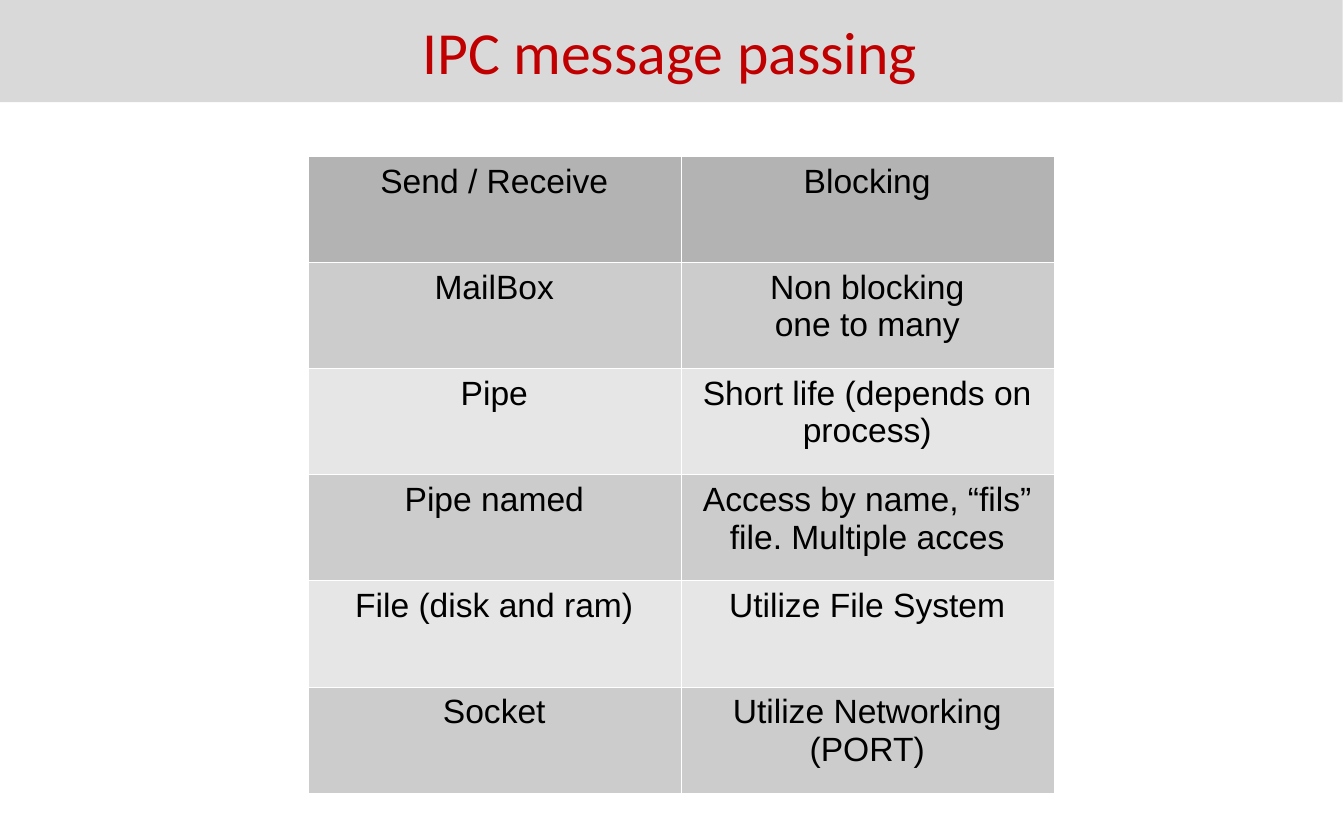
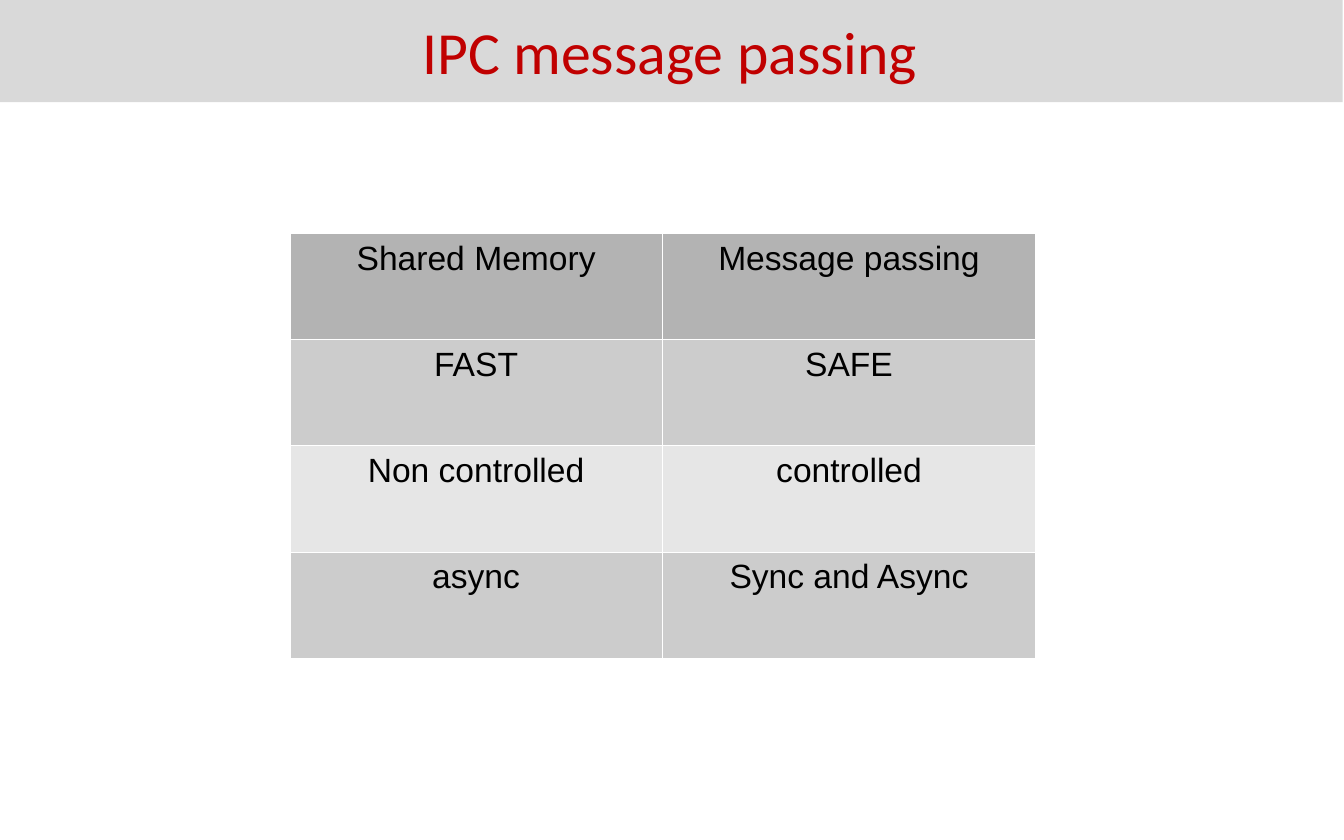
import lxml.etree
import pptx
import pptx.dml.color
import pptx.enum.text
import pptx.oxml.ns
import pptx.util

Inches = pptx.util.Inches
RGBColor = pptx.dml.color.RGBColor
ANCHOR = pptx.enum.text.MSO_ANCHOR

# Shared look
BAND = RGBColor(0xD9, 0xD9, 0xD9)
RED = RGBColor(0xC0, 0x00, 0x00)
BLACK = RGBColor(0x00, 0x00, 0x00)
HEAD = RGBColor(0xB3, 0xB3, 0xB3)
DARK = RGBColor(0xCC, 0xCC, 0xCC)
LIGHT = RGBColor(0xE6, 0xE6, 0xE6)
WHITE = RGBColor(0xFF, 0xFF, 0xFF)
TITLE = "IPC message passing"
COL_W = Inches(2.775)
ROW_H = Inches(0.79)
RULE_W = pptx.util.Pt(0.06)

# Left, top and rows of the table on each slide
TABLES = [
    (2.29, 1.16, [
        ("Send / Receive", "Blocking"),
        ("MailBox", "Non blocking\none to many"),
        ("Pipe", "Short life (depends on process)"),
        ("Pipe named", "Access by name, “fils” file. Multiple acces"),
        ("File (disk and ram)", "Utilize File System"),
        ("Socket", "Utilize Networking (PORT)"),
    ]),
    (2.155, 1.735, [
        ("Shared Memory", "Message passing"),
        ("FAST", "SAFE"),
        ("Non controlled", "controlled"),
        ("async", "Sync and Async"),
    ]),
]


def write(frame, text, font="Arial", size=18, color=BLACK):
    """Put one centred paragraph in a text frame."""
    frame.word_wrap = True
    para = frame.paragraphs[0]
    para.text = text
    para.alignment = pptx.enum.text.PP_ALIGN.CENTER
    for run in para.runs:
        run.font.name = font
        run.font.size = pptx.util.Pt(size)
        run.font.bold = False
        run.font.color.rgb = color


def rule(cell):
    """Draw a hairline on all four sides of a cell."""
    props = cell._tc.get_or_add_tcPr()
    for side in ("a:lnL", "a:lnR", "a:lnT", "a:lnB"):
        line = lxml.etree.SubElement(props, pptx.oxml.ns.qn(side), w=str(RULE_W))
        fill = lxml.etree.SubElement(line, pptx.oxml.ns.qn("a:solidFill"))
        lxml.etree.SubElement(fill, pptx.oxml.ns.qn("a:srgbClr"), val=str(WHITE))


deck = pptx.Presentation()
deck.slide_width = Inches(10)
deck.slide_height = Inches(6.25)

for left, top, rows in TABLES:
    slide = deck.slides.add_slide(deck.slide_layouts[5])

    # Title band
    title = slide.shapes.title
    title.left, title.top = Inches(-0.02), Inches(0)
    title.width, title.height = Inches(10.01), Inches(0.76)
    title.fill.solid()
    title.fill.fore_color.rgb = BAND
    title.text_frame.auto_size = pptx.enum.text.MSO_AUTO_SIZE.NONE
    title.text_frame.vertical_anchor = ANCHOR.MIDDLE
    write(title.text_frame, TITLE, font="Calibri", size=32, color=RED)

    # Table with a header row and alternating greys
    table = slide.shapes.add_table(
        len(rows), 2, Inches(left), Inches(top),
        COL_W * 2, ROW_H * len(rows)).table
    table.first_row = False
    table.horz_banding = False
    for col in table.columns:
        col.width = COL_W
    for r, row in enumerate(rows):
        table.rows[r].height = ROW_H
        shade = HEAD if r == 0 else DARK if r % 2 else LIGHT
        for c, text in enumerate(row):
            cell = table.cell(r, c)
            rule(cell)
            cell.fill.solid()
            cell.fill.fore_color.rgb = shade
            cell.vertical_anchor = ANCHOR.TOP
            write(cell.text_frame, text)

deck.save("out.pptx")
